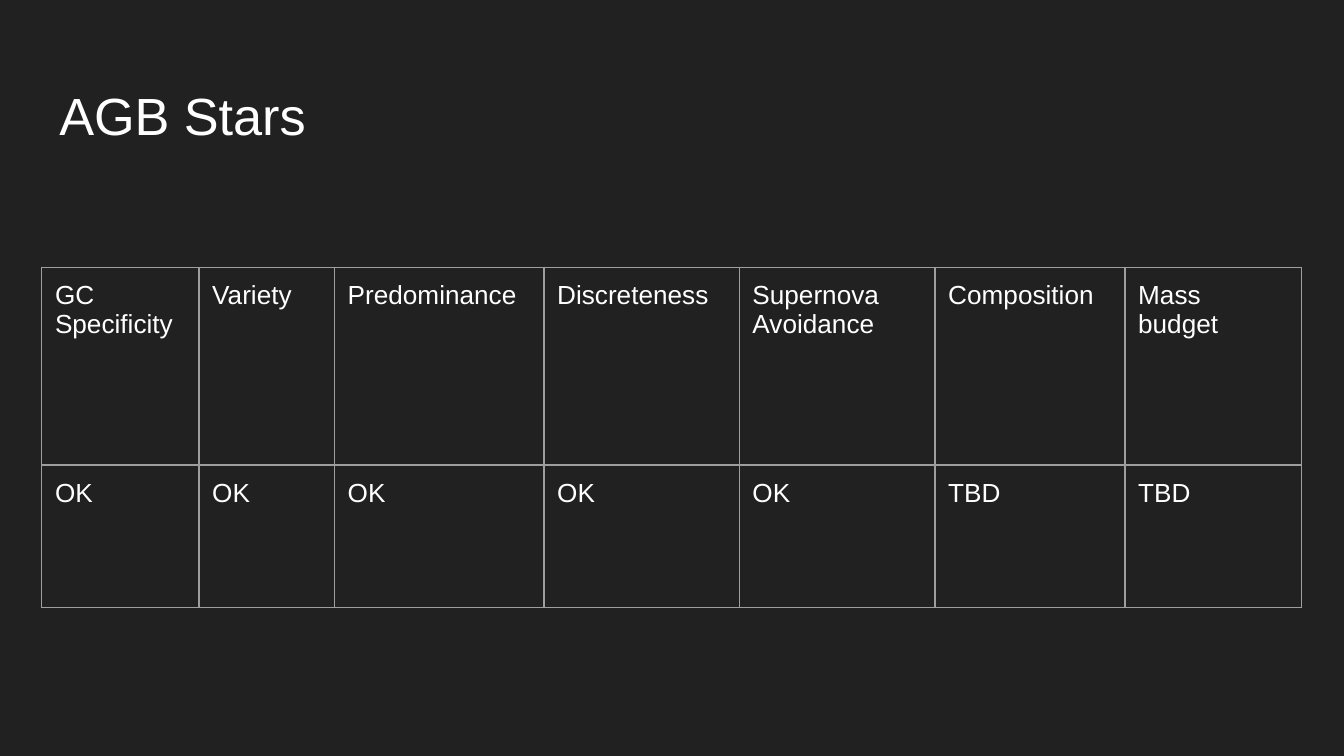
from dataclasses import dataclass

from pptx import Presentation
from pptx.dml.color import RGBColor as RGB
from pptx.enum.text import MSO_ANCHOR as Anchor, MSO_AUTO_SIZE as AutoSize, PP_ALIGN as Align
from pptx.oxml import parse_xml
from pptx.oxml.ns import nsdecls
from pptx.util import Cm, Pt


@dataclass(frozen=True)
class Theme:
    """Colours, font and sizes of the slide."""
    back: str = "212121"
    text: str = "FFFFFF"
    border: str = "9E9E9E"
    font: str = "Arial"
    title_size: float = 28
    cell_size: float = 14
    border_width: float = 0.75
    inset: float = 0.25


class SlideBuilder:
    """Draws styled elements on the current slide."""

    def __init__(self, prs, theme):
        """Add a title-only slide with the theme background."""
        self.theme = theme
        self.s = prs.slides.add_slide(prs.slide_layouts[5])
        fill = self.s.background.fill
        fill.solid()
        fill.fore_color.rgb = RGB.from_string(theme.back)

    def add_text(self, tf, text, size):
        """Put one left-aligned run into a text frame."""
        p = tf.paragraphs[0]
        p.alignment = Align.LEFT
        r = p.add_run()
        r.text = text
        r.font.name = self.theme.font
        r.font.size = Pt(size)
        r.font.color.rgb = RGB.from_string(self.theme.text)

    def title(self, text, left, top, width, height):
        """Place and fill the title placeholder."""
        sp = self.s.shapes.title
        sp.left, sp.top, sp.width, sp.height = Cm(left), Cm(top), Cm(width), Cm(height)
        tf = sp.text_frame
        tf.word_wrap = True
        tf.auto_size = AutoSize.NONE
        tf.vertical_anchor = Anchor.TOP
        tf.margin_left = tf.margin_right = Cm(self.theme.inset)
        tf.margin_top, tf.margin_bottom = Cm(0.34), Cm(0)
        self.add_text(tf, text, self.theme.title_size)

    def borders(self, cell):
        """Outline all four sides of a cell."""
        tc_pr = cell._tc.get_or_add_tcPr()
        for i, side in enumerate("LRTB"):
            tc_pr.insert(i, parse_xml(
                f'<a:ln{side} {nsdecls("a")} w="{Pt(self.theme.border_width)}">'
                f'<a:solidFill><a:srgbClr val="{self.theme.border}"/></a:solidFill>'
                f'</a:ln{side}>'))

    def table(self, rows, left, top, widths, heights):
        """Add an outlined table without fills."""
        table = self.s.shapes.add_table(
            len(rows), len(widths), Cm(left), Cm(top),
            Cm(sum(widths)), Cm(sum(heights))).table
        table.first_row = table.horz_banding = False
        for column, width in zip(table.columns, widths):
            column.width = Cm(width)
        for row, height, texts in zip(table.rows, heights, rows):
            row.height = Cm(height)
            for cell, text in zip(row.cells, texts):
                cell.fill.background()
                cell.margin_left = cell.margin_right = Cm(self.theme.inset)
                cell.margin_top = cell.margin_bottom = Cm(self.theme.inset)
                self.add_text(cell.text_frame, text, self.theme.cell_size)
                self.borders(cell)


def main():
    """Build the AGB stars slide."""
    prs = Presentation()
    prs.slide_width, prs.slide_height = Cm(25.4), Cm(14.29)
    slide = SlideBuilder(prs, Theme())
    slide.title("AGB Stars", 0.87, 1.24, 23.67, 1.6)
    criteria = ["GC Specificity", "Variety", "Predominance", "Discreteness",
                "Supernova Avoidance", "Composition", "Mass budget"]
    verdicts = ["OK"] * 5 + ["TBD"] * 2
    slide.table([criteria, verdicts], 0.79, 5.05,
                [2.97, 2.56, 3.96, 3.69, 3.7, 3.59, 3.33], [3.74, 2.7])
    prs.save("out.pptx")


if __name__ == "__main__":
    main()
